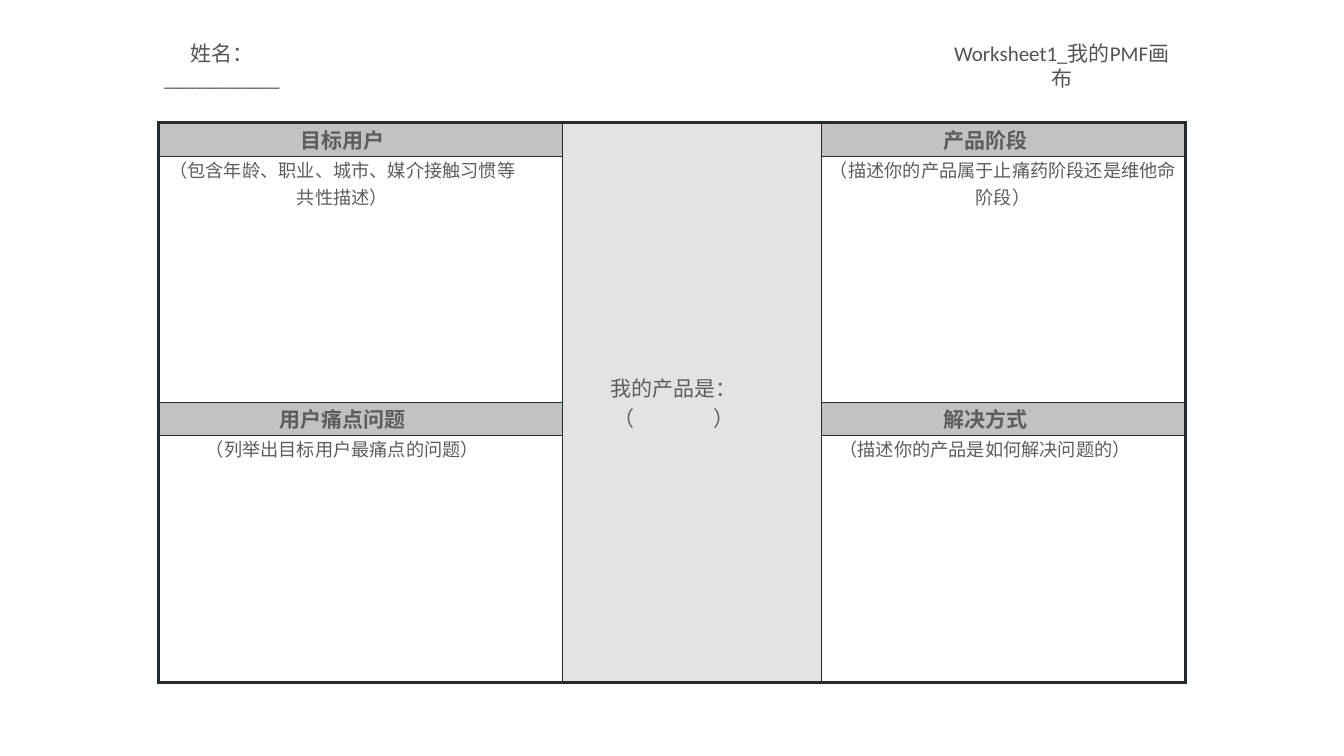
from dataclasses import dataclass

from lxml.etree import SubElement
from pptx import Presentation
from pptx.dml.color import RGBColor
from pptx.enum.text import MSO_ANCHOR, PP_ALIGN
from pptx.oxml import parse_xml
from pptx.oxml.ns import nsdecls, qn
from pptx.util import Cm, Pt


@dataclass(frozen=True)
class Theme:
    ink: str = "5A5F5E"
    title: str = "535353"
    rule: str = "232B2D"
    shade: str = "9CA09E"
    head: int = 30
    hint: int = 26
    thin: int = 1
    thick: int = 5
    latin: str = "Calibri"
    asian: str = "Noto Sans CJK SC"


INSET = 0.18
INDENT = 1.98


@dataclass(frozen=True)
class Panel:
    row: int
    col: int
    head: str
    hint: str
    right: float = INDENT


@dataclass(frozen=True)
class Label:
    text: str
    left: float
    width: float
    right: float


THEME = Theme()
COLS = (20.37, 13.03, 18.36)
ROWS = (1.73, 12.38, 1.65, 12.45)
GAP = 10700
PANELS = (
    Panel(0, 0, "目标用户", "（包含年龄、职业、城市、媒介接触习惯等共性描述）"),
    Panel(0, 2, "产品阶段", "（描述你的产品属于止痛药阶段还是维他命阶段）", INSET),
    Panel(2, 0, "用户痛点问题", "（列举出目标用户最痛点的问题）"),
    Panel(2, 2, "解决方式", "（描述你的产品是如何解决问题的）"),
)
LABELS = (
    Label("姓名：___________", 8.03, 9.42, 3.3),
    Label("Worksheet1_我的PMF画布", 47.5, 12.22, 0.4),
)


def add_run(para, text: str, size: int, tint: str, face: str, bold: bool = False):
    run = para.add_run()
    run.text = text
    font = run.font
    font.size, font.bold, font.name = Pt(size), bold, face
    font.color.rgb = RGBColor.from_string(tint)
    SubElement(font._element, qn("a:ea")).set("typeface", THEME.asian)
    return run


def add_edge(cell, tag: str, index: int, width: int) -> None:
    edge = parse_xml(
        f'<a:{tag} {nsdecls("a")} w="{Pt(width)}"><a:solidFill>'
        f'<a:srgbClr val="{THEME.rule}"/></a:solidFill></a:{tag}>'
    )
    cell._tc.get_or_add_tcPr().insert(index, edge)


def style_cell(cell, row: int, col: int, alpha: int, right: float = INDENT, span: int = 1):
    cell.margin_left, cell.margin_right = Cm(INSET), Cm(right)
    cell.margin_top = cell.margin_bottom = 0
    cell.vertical_anchor = MSO_ANCHOR.MIDDLE if alpha else MSO_ANCHOR.TOP
    if alpha:
        cell.fill.solid()
        cell.fill.fore_color.rgb = RGBColor.from_string(THEME.shade)
        tint = cell._tc.tcPr.find(".//" + qn("a:srgbClr"))
        SubElement(tint, qn("a:alpha")).set("val", str(alpha * 1000))
    else:
        cell.fill.background()
    outer = {
        "lnL": col == 0,
        "lnR": col == len(COLS) - 1,
        "lnT": row == 0,
        "lnB": row + span == len(ROWS),
    }
    for index, (tag, edge) in enumerate(outer.items()):
        add_edge(cell, tag, index, THEME.thick if edge else THEME.thin)
    para = cell.text_frame.paragraphs[0]
    para.alignment = PP_ALIGN.CENTER
    return para


def add_canvas(slide) -> None:
    frame = slide.shapes.add_table(
        len(ROWS), len(COLS), Cm(7.98), Cm(6.17), Cm(sum(COLS)), Cm(sum(ROWS))
    )
    table = frame.table
    table.first_row = table.horz_banding = False
    for col, width in zip(table.columns, COLS):
        col.width = Cm(width)
    for row, height in zip(table.rows, ROWS):
        row.height = Cm(height)
    for panel in PANELS:
        row, col = panel.row, panel.col
        para = style_cell(table.cell(row, col), row, col, 63)
        add_run(para, panel.head, THEME.head, THEME.ink, THEME.asian, True)
        para = style_cell(table.cell(row + 1, col), row + 1, col, 0, panel.right)
        add_run(para, panel.hint, THEME.hint, THEME.ink, THEME.asian)
    centre = table.cell(0, 1)
    centre.merge(table.cell(len(ROWS) - 1, 1))
    para = style_cell(centre, 0, 1, 29, span=len(ROWS))
    add_run(para, "我的产品是：", THEME.head, THEME.ink, THEME.asian)
    para.add_line_break()
    add_run(para, "（", THEME.head, THEME.ink, THEME.asian)
    blank = add_run(para, " ", THEME.head, THEME.ink, THEME.asian)
    blank.font._element.set("spc", str(GAP))
    add_run(para, "）", THEME.head, THEME.ink, THEME.asian)


def add_label(slide, label: Label) -> None:
    box = slide.shapes.add_textbox(Cm(label.left), Cm(2.36), Cm(label.width), Cm(1.88))
    frame = box.text_frame
    frame.word_wrap = True
    frame.vertical_anchor = MSO_ANCHOR.MIDDLE
    frame.margin_left = frame.margin_top = frame.margin_bottom = Cm(0.2)
    frame.margin_right = Cm(label.right)
    para = frame.paragraphs[0]
    para.alignment = PP_ALIGN.CENTER
    para.line_spacing = 1.0
    add_run(para, label.text, THEME.head, THEME.title, THEME.latin)


def main() -> None:
    deck = Presentation()
    deck.slide_width, deck.slide_height = Cm(67.74), Cm(38.1)
    slide = deck.slides.add_slide(deck.slide_layouts[6])
    add_canvas(slide)
    for label in LABELS:
        add_label(slide, label)
    deck.save("out.pptx")


main()
